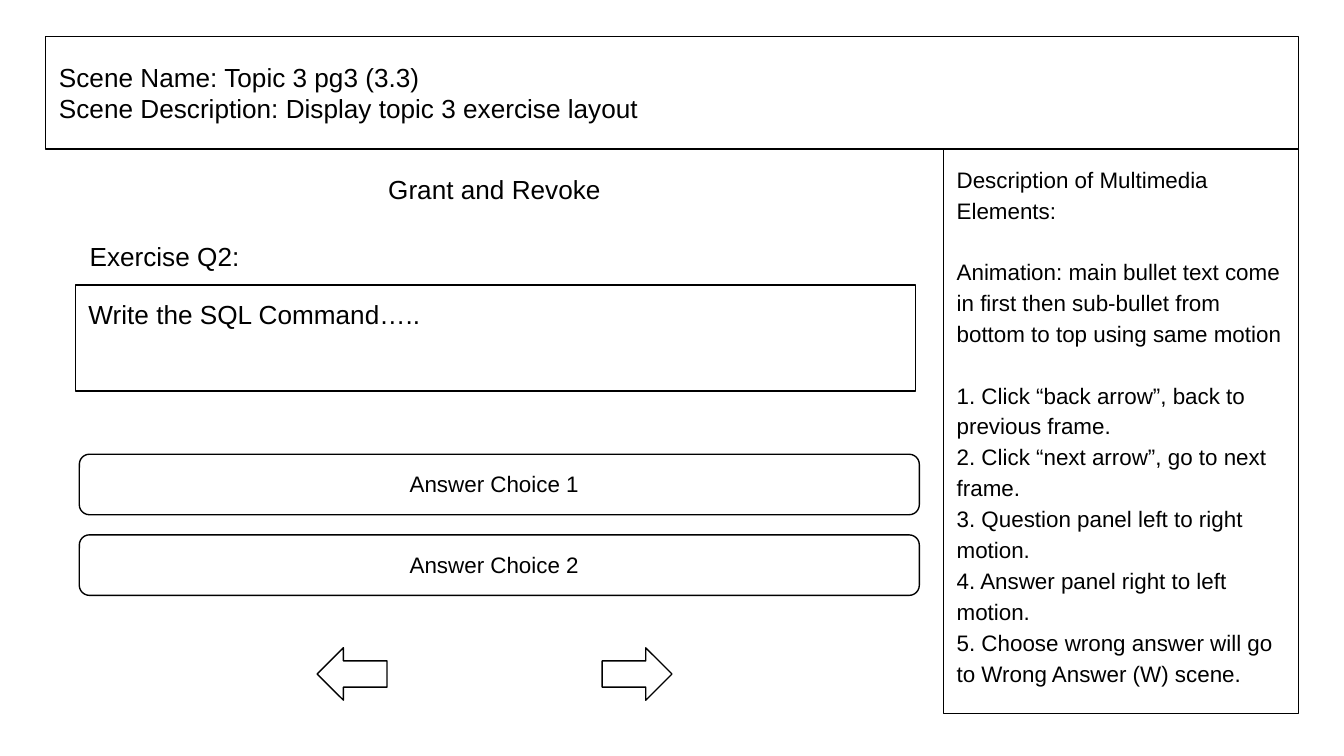
from dataclasses import dataclass

from pptx import Presentation
from pptx.dml.color import RGBColor
from pptx.enum import shapes, text
from pptx.util import Inches, Pt

INK = "000000"
KIND = shapes.MSO_SHAPE
ALIGN = text.PP_ALIGN
ANCHOR = text.MSO_ANCHOR


@dataclass
class Box:
    left: float
    top: float
    width: float
    height: float

    def emu(self) -> list[int]:
        return [Inches(v) for v in (self.left, self.top, self.width, self.height)]


@dataclass
class Label:
    box: Box
    words: str
    size: int = 14
    align: ALIGN = ALIGN.CENTER
    anchor: ANCHOR = ANCHOR.MIDDLE


def color(code: str) -> RGBColor:
    return RGBColor.from_string(code)


def write(shape, lines: list[str], *, size: int = 14, align=ALIGN.LEFT,
          anchor=ANCHOR.TOP, wrap: bool = True, lead: float = 1.0,
          gaps: tuple[float, ...] = ()) -> None:
    """Fill a shape with paragraphs; gaps are points after the first ones."""
    frame = shape.text_frame
    frame.word_wrap = wrap
    frame.vertical_anchor = anchor
    frame.margin_left = frame.margin_right = Inches(0.1)
    frame.margin_top = frame.margin_bottom = Inches(0.1)
    for i, line in enumerate(lines):
        para = frame.paragraphs[0] if i == 0 else frame.add_paragraph()
        para.alignment = align
        para.line_spacing = lead
        para.space_after = Pt(gaps[i] if i < len(gaps) else 0)
        run = para.add_run()
        run.text = line
        run.font.name = "Arial"
        run.font.size = Pt(size)
        run.font.color.rgb = color(INK)


def outline(slide, box: Box, kind=KIND.RECTANGLE, turn: float = 0):
    shape = slide.shapes.add_shape(kind, *box.emu())
    shape.shadow.inherit = False
    shape.fill.background()
    shape.line.color.rgb = color(INK)
    shape.line.width = Pt(0.75)
    shape.rotation = turn
    return shape


def label(slide, item: Label) -> None:
    shape = slide.shapes.add_textbox(*item.box.emu())
    write(shape, [item.words], size=item.size, align=item.align,
          anchor=item.anchor, wrap=False)


SCENE = [
    "Scene Name: Topic 3 pg3 (3.3)",
    "Scene Description: Display topic 3 exercise layout",
]
NOTES = [
    "Description of Multimedia Elements:",
    "Animation: main bullet text come in first then sub-bullet from "
    "bottom to top using same motion",
    "1. Click “back arrow”, back to previous frame.",
    "2. Click “next arrow”, go to next frame.",
    "3. Question panel left to right motion.",
    "4. Answer panel right to left motion.",
    "5. Choose wrong answer will go to Wrong Answer (W) scene.",
]
HEADS = [
    Label(Box(2.7, 1.18, 1.96, 0.45), "Grant and Revoke"),
    Label(Box(0.56, 1.68, 1.33, 0.45), "Exercise Q2:"),
]
ARROWS = [(4.48, 0), (2.36, 180)]


def main() -> None:
    deck = Presentation()
    deck.slide_width = Inches(10)
    deck.slide_height = deck.slide_width * 9 // 16
    slide = deck.slides.add_slide(deck.slide_layouts[6])

    write(outline(slide, Box(0.34, 0.27, 9.32, 0.84)), SCENE,
          anchor=ANCHOR.MIDDLE)
    write(outline(slide, Box(7.02, 1.11, 2.64, 4.2)), NOTES,
          size=12, lead=1.15, gaps=(16, 16.5))
    for head in HEADS:
        label(slide, head)
    for left, turn in ARROWS:
        outline(slide, Box(left, 4.82, 0.52, 0.39), KIND.RIGHT_ARROW, turn)
    write(outline(slide, Box(0.56, 2.12, 6.25, 0.79)),
          ["Write the SQL Command….."])
    for i in range(2):
        top = 3.38 + 0.6 * i
        outline(slide, Box(0.59, top, 6.25, 0.45), KIND.ROUNDED_RECTANGLE)
        label(slide, Label(Box(2.95, top + 0.02, 1.47, 0.39),
                           f"Answer Choice {i + 1}", size=12,
                           align=ALIGN.LEFT, anchor=ANCHOR.TOP))

    deck.save("out.pptx")


if __name__ == "__main__":
    main()
